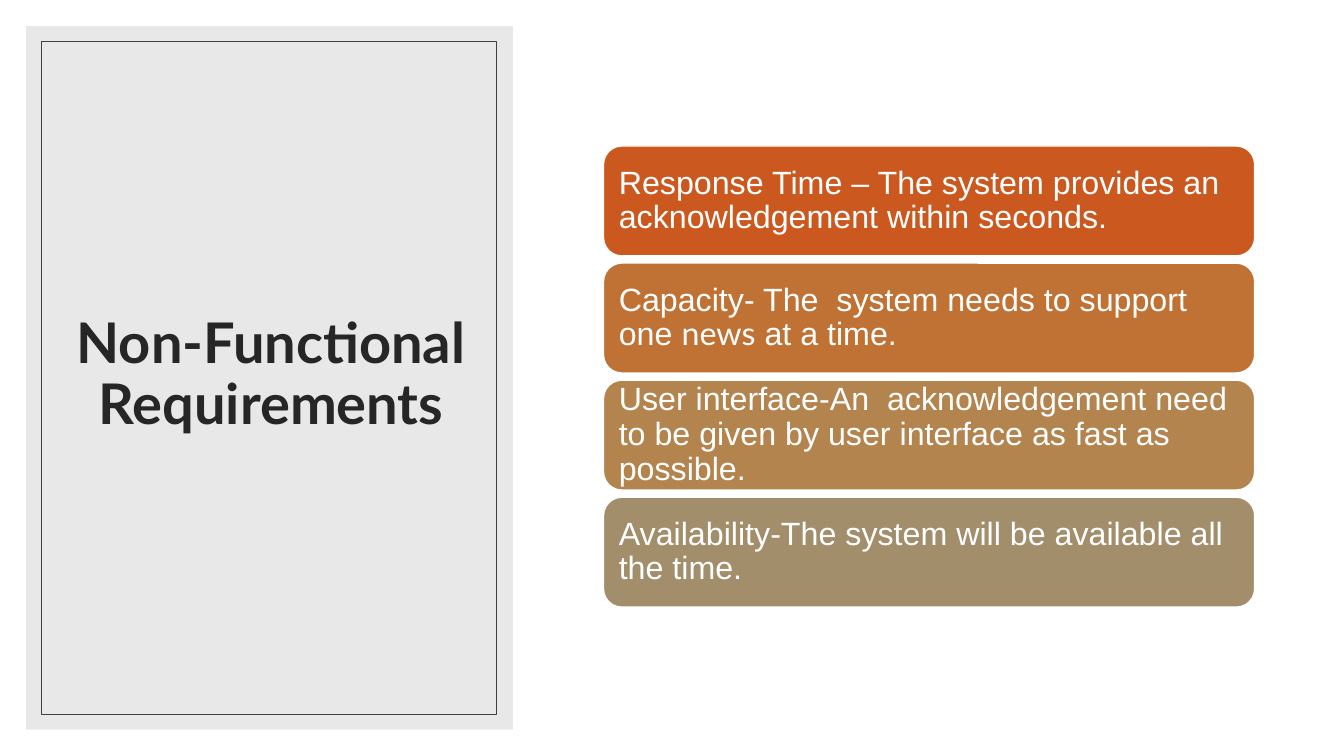
from pptx import Presentation
from pptx.dml.color import RGBColor
from pptx.enum.shapes import MSO_SHAPE as Shape
from pptx.enum.text import MSO_ANCHOR as Anchor, PP_ALIGN as Align
from pptx.util import Cm, Pt


def paint(color_format, hex_color):
    color_format.rgb = RGBColor.from_string(hex_color)


def add_block(kind, left, top, width, height, fill=None, line=None, line_width=1):
    block = slide.shapes.add_shape(kind, Cm(left), Cm(top), Cm(width), Cm(height))
    block.shadow.inherit = False
    if fill:
        block.fill.solid()
        paint(block.fill.fore_color, fill)
    else:
        block.fill.background()
    if line:
        paint(block.line.color, line)
        block.line.width = Pt(line_width)
    else:
        block.line.fill.background()
    return block


deck = Presentation()
deck.slide_width, deck.slide_height = Cm(33.87), Cm(19.05)
slide = deck.slides.add_slide(deck.slide_layouts[6])

add_block(Shape.RECTANGLE, 0.66, 0.66, 12.27, 17.73, fill="E8E8E8")
add_block(Shape.RECTANGLE, 1.04, 1.04, 11.46, 16.97, line="404040", line_width=0.5)

heading = slide.shapes.add_textbox(Cm(1.6), Cm(1.55), Cm(10.46), Cm(15.85)).text_frame
heading.word_wrap = True
heading.vertical_anchor = Anchor.MIDDLE
heading_line = heading.paragraphs[0]
heading_line.alignment = Align.CENTER
heading_line.line_spacing = 0.9
heading_text = heading_line.add_run()
heading_text.text = "Non-Functional Requirements"
heading_text.font.name = "Lato"
heading_text.font.size = Pt(40)
heading_text.font.bold = True
paint(heading_text.font.color, "262626")

requirements = [
    ("CB581F", [("Response Time – The system provides an acknowledgement within seconds.", "Arial")]),
    ("C07235", [("Capacity- The  system needs to support one ", "Arial"),
                ("news", "Lato"),
                (" at a time.", "Arial")]),
    ("B3844E", [("User interface-An  acknowledgement need to be given by user interface "
                 "as fast as possible.", "Arial")]),
    ("A28E6A", [("Availability-The system will be available all the time.", "Arial")]),
]
first_top, pitch = 3.68, 2.95

for row, (fill, pieces) in enumerate(requirements):
    card = add_block(Shape.ROUNDED_RECTANGLE, 15.21, first_top + row * pitch, 16.41, 2.77,
                     fill=fill, line="FFFFFF")
    requirement = card.text_frame
    requirement.word_wrap = True
    requirement.vertical_anchor = Anchor.MIDDLE
    requirement.margin_left = requirement.margin_right = Cm(0.25)
    requirement.margin_top = requirement.margin_bottom = Cm(0.25)
    sentence = requirement.paragraphs[0]
    sentence.alignment = Align.LEFT
    sentence.line_spacing = 0.9
    for words, typeface in pieces:
        piece = sentence.add_run()
        piece.text = words
        piece.font.name = typeface
        piece.font.size = Pt(23)
        paint(piece.font.color, "FFFFFF")

deck.save("out.pptx")
